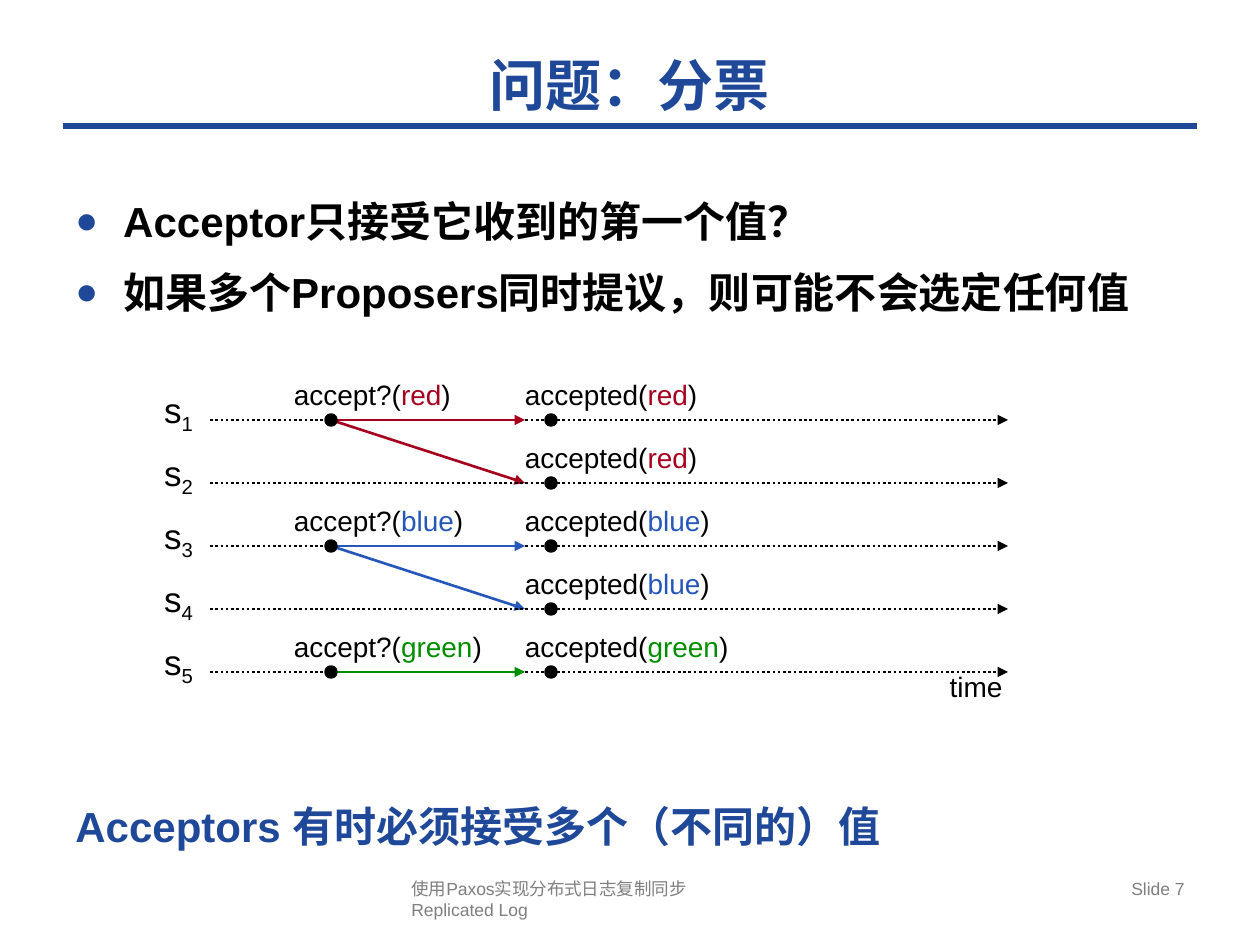
from lxml import etree
from pptx import Presentation
from pptx import util as u
from pptx.dml.color import RGBColor
from pptx.enum import dml, shapes, text
from pptx.oxml.ns import qn

PX = 914400 / 126
C = {"navy": "1F4899", "black": "000000", "gray": "7F7F7F",
     "red": "A5001E", "blue": "2556B9", "green": "008E00"}
ALIGN = text.PP_ALIGN

prs = Presentation()
prs.slide_width, prs.slide_height = u.Inches(10), u.Inches(7.5)
s = prs.slides.add_slide(prs.slide_layouts[5])


def write(runs, box=None, sp=None, size=16, color="black", bold=False, font="Arial",
          align=ALIGN.LEFT, anchor=text.MSO_ANCHOR.TOP, inset=(0, 0), bullet=False, before=0):
    new = sp is None
    if new:
        sp = s.shapes.add_textbox(*[round(v * PX) for v in box])
    tf = sp.text_frame
    tf.word_wrap = True
    tf.auto_size = text.MSO_AUTO_SIZE.NONE
    tf.vertical_anchor = anchor
    tf.margin_left = tf.margin_right = u.Inches(inset[0])
    tf.margin_top = tf.margin_bottom = u.Inches(inset[1])
    p = tf.paragraphs[0] if new or not tf.text else tf.add_paragraph()
    p.alignment = align
    p.space_before = u.Pt(before)
    if bullet:
        pPr = p._p.get_or_add_pPr()
        pPr.set("marL", str(u.Inches(0.38)))
        pPr.set("indent", str(-u.Inches(0.38)))
        clr = etree.SubElement(pPr, qn("a:buClr"))
        etree.SubElement(clr, qn("a:srgbClr"), val=C["navy"])
        etree.SubElement(pPr, qn("a:buSzPct"), val="90000")
        etree.SubElement(pPr, qn("a:buFont"), typeface="Arial")
        etree.SubElement(pPr, qn("a:buChar"), char="●")
    for words, *style in runs:
        if words == "\n":
            p.add_line_break()
            continue
        r = p.add_run()
        r.text = words
        r.font.name, r.font.size, r.font.bold = font, u.Pt(size), bold
        r.font.color.rgb = RGBColor.from_string(C[style[0] if style else color])
        if len(style) > 1:
            r.font._element.set("baseline", style[1])
    return sp


def line(x1, y1, x2, y2, color="black", width=1.5, dash=None, arrow=True):
    cx = s.shapes.add_connector(shapes.MSO_CONNECTOR.STRAIGHT,
                                *[round(v * PX) for v in (x1, y1, x2, y2)])
    cx.line.width = u.Pt(width)
    cx.line.color.rgb = RGBColor.from_string(C[color])
    if dash:
        cx.line.dash_style = dash
    if arrow:
        etree.SubElement(cx.line._get_or_add_ln(), qn("a:tailEnd"), type="triangle")
    etree.SubElement(cx._element.spPr, qn("a:effectLst"))


line(63, 126, 1197, 126, "navy", 4, arrow=False)
title = s.shapes.title
title.left, title.top, title.width, title.height = [round(v * PX) for v in (63, 42, 1134, 84)]
write([("问题：分票",)], sp=title, size=32, color="navy", bold=True, font="DejaVu Sans",
      align=ALIGN.CENTER, anchor=text.MSO_ANCHOR.MIDDLE, inset=(0.1, 0.05))

body = None
for words in ("Acceptor只接受它收到的第一个值？", "如果多个Proposers同时提议，则可能不会选定任何值"):
    body = write([(words,)], (63, 189, 1134, 168), body, size=24, bold=True,
                 inset=(0.1, 0.05), bullet=True, before=12)
write([("Acceptors 有时必须接受多个（不同的）值",)], (63, 794, 1134, 70), size=24,
      color="navy", bold=True, inset=(0.1, 0.05))

rows = [420 + 63 * i for i in range(5)]
values = ["red", "red", "blue", "blue", "green"]
send_x, receive_x = 331, 525
proposers = [0, 2, 4]

for i, y in enumerate(rows):
    value = values[i]
    line(210, y, 1008, y, dash=dml.MSO_LINE.ROUND_DOT)
    write([("s",), (str(i + 1), "black", "-25000")], (147, y - 32, 63, 43),
          size=20, align=ALIGN.CENTER)
    write([("accepted(",), (value, value), (")",)], (receive_x, y - 42, 252, 34))
    dots = [551]
    if i in proposers:
        write([("accept?(",), (value, value), (")",)], (294, y - 42, 200, 34))
        dots.append(send_x)
    for target, receiver in zip(rows[i:i + 2], values[i:i + 2]):
        if i in proposers and receiver == value:
            line(send_x, y, receive_x, target, value)
    for x in dots:
        sp = s.shapes.add_shape(shapes.MSO_SHAPE.OVAL,
                                *[round(v * PX) for v in (x - 5, y - 5, 10, 10)])
        sp.shadow.inherit = False
        sp.fill.solid()
        sp.fill.fore_color.rgb = sp.line.color.rgb = RGBColor.from_string(C["black"])
        sp.line.width = u.Pt(2)

write([("time",)], (934, 670, 84, 34), align=ALIGN.CENTER)
write([("使用Paxos实现分布式日志复制同步",), ("\n",), ("Replicated Log",)],
      (399, 872, 473, 54), size=10, color="gray", inset=(0.1, 0.05))
write([("Slide 7",)], (903, 872, 294, 54), size=10, color="gray",
      align=ALIGN.RIGHT, inset=(0.1, 0.05))

prs.save("out.pptx")
